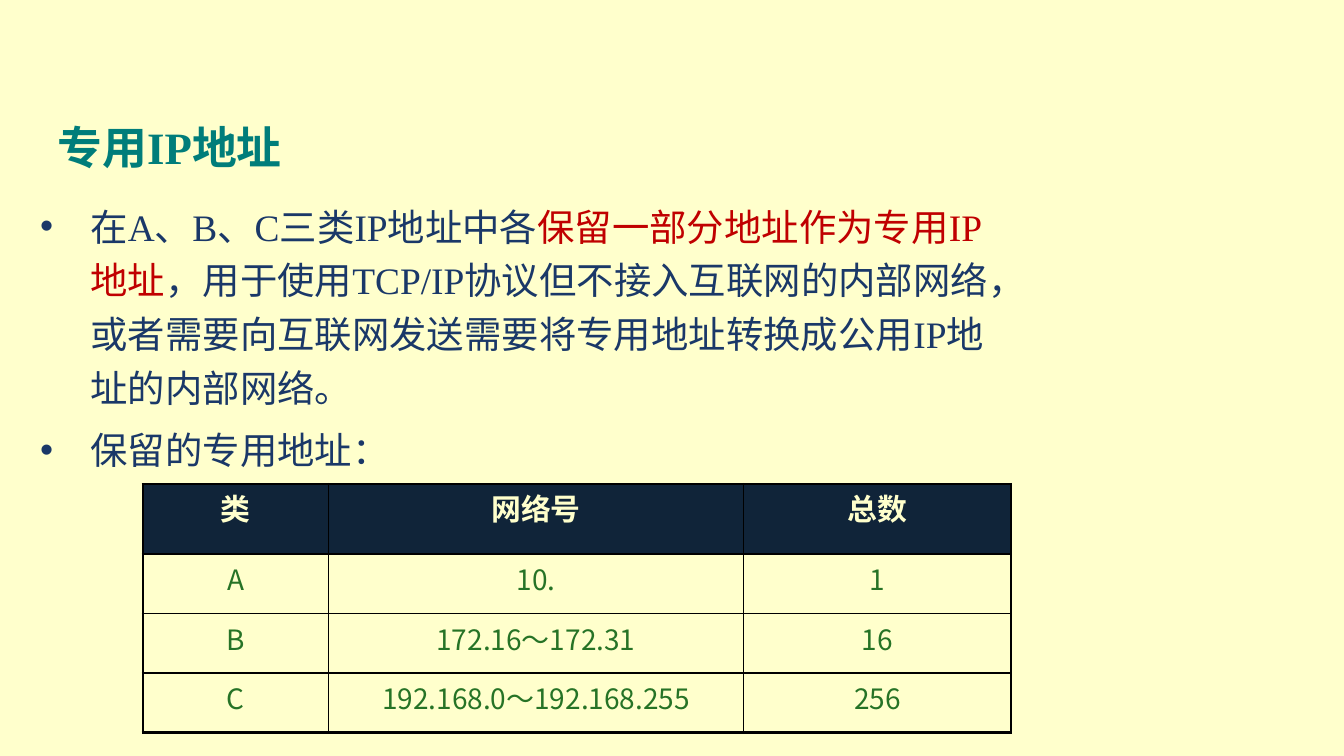
from lxml import etree
from pptx import Presentation
from pptx.dml.color import RGBColor
from pptx.enum.text import MSO_ANCHOR, PP_ALIGN
from pptx.oxml.ns import qn
from pptx.util import Pt

MIDDLE, TOP = MSO_ANCHOR.MIDDLE, MSO_ANCHOR.TOP
CENTER = PP_ALIGN.CENTER
SERIF, SANS = "Times New Roman", "Noto Sans CJK SC"
CREAM, TEAL, BLUE, RED = "FFFFCC", "007D7A", "1A3868", "C00000"
NAVY, GREEN, BLACK = "102439", "267326", "000000"

# Content
HEADING = "专用IP地址"
POINTS = [
    [("在A、B、C三类IP地址中各", BLUE),
     ("保留一部分地址作为专用IP地址", RED),
     ("，用于使用TCP/IP协议但不接入互联网的内部网络，"
      "或者需要向互联网发送需要将专用地址转换成公用IP地址的内部网络。", BLUE)],
    [("保留的专用地址：", BLUE)],
]
RANGES = [
    ("类", "网络号", "总数"),
    ("A", "10.", "1"),
    ("B", "172.16～172.31", "16"),
    ("C", "192.168.0～192.168.255", "256"),
]
COLUMN_WIDTHS = [99.4, 222.5, 143.3]
ROW_HEIGHTS = [37.4, 31.9, 31.9, 31.9]


def rgb(color):
    return RGBColor.from_string(color)


def style(font, size, name, color=None, bold=False):
    font.size, font.name, font.bold = Pt(size), name, bold
    if color:
        font.color.rgb = rgb(color)


def add_frame(slide, left, top, width, height, anchor):
    box = slide.shapes.add_textbox(Pt(left), Pt(top), Pt(width), Pt(height))
    frame = box.text_frame
    frame.word_wrap = True
    frame.vertical_anchor = anchor
    return frame


def add_bullet(paragraph):
    props = paragraph._p.get_or_add_pPr()
    props.set("marL", str(Pt(27)))
    props.set("indent", str(-Pt(27)))
    etree.SubElement(props, qn("a:buFont"), typeface="Arial")
    etree.SubElement(props, qn("a:buChar"), char="•")


def set_borders(cell, widths):
    """Draw the left, right, top and bottom borders, in that order."""
    props = cell._tc.get_or_add_tcPr()
    for index, (side, width) in enumerate(zip("LRTB", widths)):
        line = etree.Element(qn(f"a:ln{side}"), w=str(Pt(width)))
        fill = etree.SubElement(line, qn("a:solidFill"))
        etree.SubElement(fill, qn("a:srgbClr"), val=BLACK)
        props.insert(index, line)


prs = Presentation()
prs.slide_width, prs.slide_height = Pt(720), Pt(405)
slide = prs.slides.add_slide(prs.slide_layouts[6])
slide.background.fill.solid()
slide.background.fill.fore_color.rgb = rgb(CREAM)

# Heading
heading = add_frame(slide, 23.8, 44.6, 308, 67.7, MIDDLE).paragraphs[0]
heading.text = HEADING
style(heading.font, 24, SERIF, TEAL, True)

# Bulleted points
body = add_frame(slide, 14.4, 100.8, 532.8, 271.4, TOP)
for index, runs in enumerate(POINTS):
    point = body.add_paragraph() if index else body.paragraphs[0]
    add_bullet(point)
    point.line_spacing = 1.2
    point.space_before = Pt(4.5 if index else 0)
    style(point.font, 20, SERIF)
    for text, color in runs:
        run = point.add_run()
        run.text = text
        run.font.color.rgb = rgb(color)

# Table of reserved ranges
last_row, last_column = len(RANGES) - 1, len(COLUMN_WIDTHS) - 1
table = slide.shapes.add_table(
    len(RANGES), len(COLUMN_WIDTHS), Pt(76.5), Pt(259.4),
    Pt(sum(COLUMN_WIDTHS)), Pt(sum(ROW_HEIGHTS))).table
table.first_row = table.horz_banding = False
for column, width in zip(table.columns, COLUMN_WIDTHS):
    column.width = Pt(width)
for r, (row, height) in enumerate(zip(RANGES, ROW_HEIGHTS)):
    table.rows[r].height = Pt(height)
    for c, text in enumerate(row):
        cell = table.cell(r, c)
        cell.margin_left = cell.margin_right = Pt(5)
        cell.margin_top, cell.margin_bottom = Pt(12), 0
        entry = cell.text_frame.paragraphs[0]
        entry.text = text
        entry.alignment = CENTER
        entry.line_spacing = Pt(12)
        if r == 0:
            style(entry.font, 16, SERIF, CREAM, True)
            cell.fill.solid()
            cell.fill.fore_color.rgb = rgb(NAVY)
        else:
            style(entry.font, 15, SANS, GREEN)
            cell.fill.background()
        # Outer edges and the header rule are thicker
        thick = (c == 0, c == last_column, r <= 1, r in (0, last_row))
        set_borders(cell, [1.5 if edge else 1 for edge in thick])

prs.save("out.pptx")
